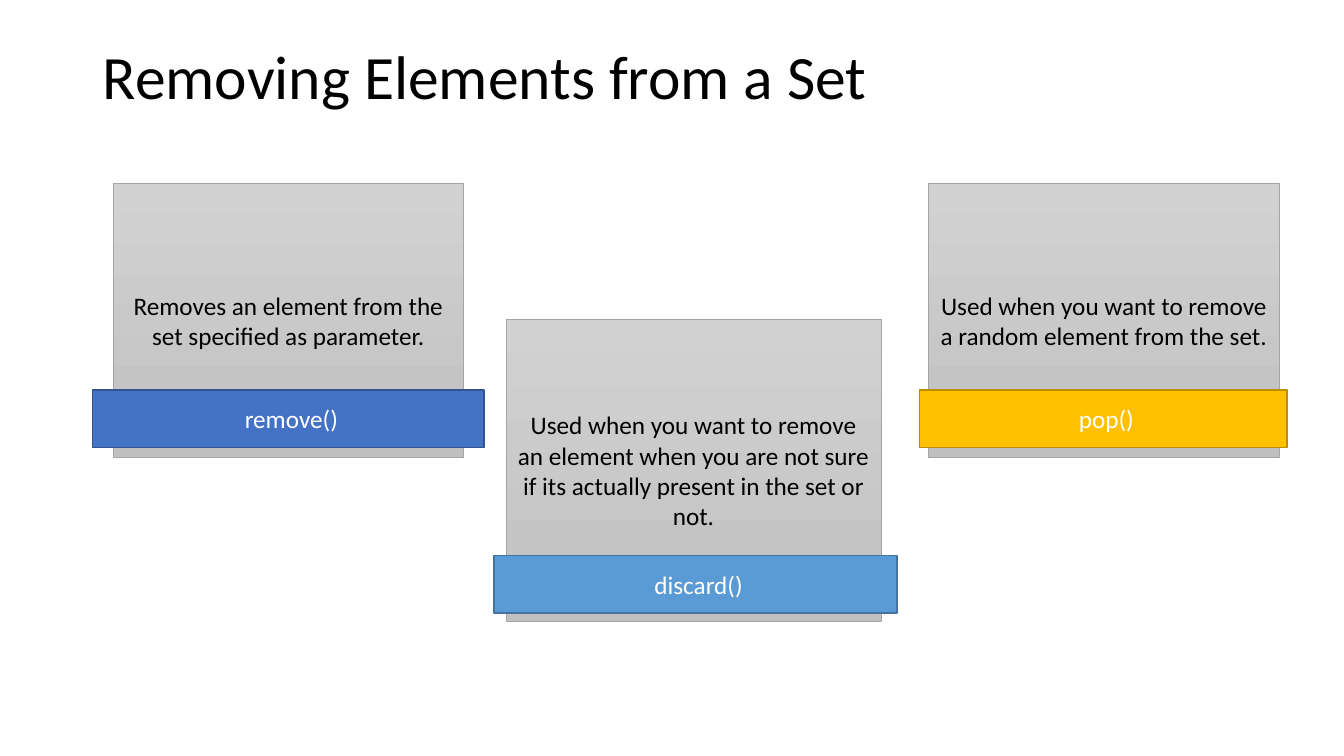
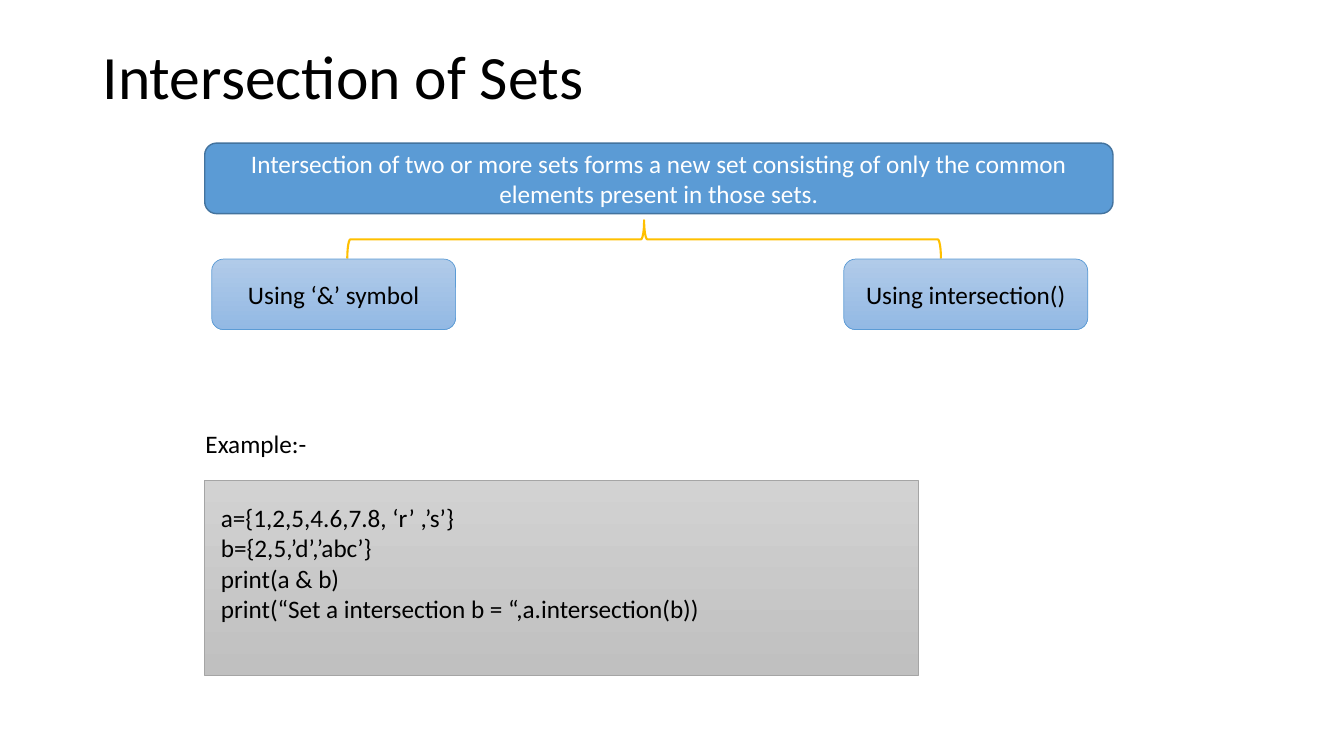
from dataclasses import dataclass
from typing import NamedTuple, Optional

from pptx import Presentation
from pptx.dml.color import RGBColor
from pptx.enum.shapes import MSO_SHAPE as Preset
from pptx.enum.text import MSO_ANCHOR as Anchor, PP_ALIGN as Align
from pptx.util import Inches, Pt

SLIDE_WIDTH, SLIDE_HEIGHT = Inches(13.333), Inches(7.5)


class Box(NamedTuple):
    """A rectangle in percent of the slide's width and height."""
    left: float
    top: float
    width: float
    height: float

    def lengths(self) -> tuple:
        return tuple(round(share * side / 100) for share, side in
                     zip(self, (SLIDE_WIDTH, SLIDE_HEIGHT) * 2))


@dataclass(frozen=True)
class Style:
    fills: tuple  # one colour is solid, two run from top to bottom
    line: str
    text: str = "000000"
    line_width: float = 0.5


@dataclass(frozen=True)
class Theme:
    font: str = "Calibri"
    title_size: int = 44
    body_size: int = 18
    ink: str = "000000"
    brace: str = "FFC000"
    gray: Style = Style(("D2D2D2", "C0C0C0"), "A5A5A5")
    pale_blue: Style = Style(("B1CBE9", "93B9E4"), "5B9BD5")
    navy: Style = Style(("4472C4",), "325491", "FFFFFF", 1)
    blue: Style = Style(("5B9BD5",), "43739E", "FFFFFF", 1)
    gold: Style = Style(("FFC000",), "BD8E00", "FFFFFF", 1)


THEME = Theme()
TITLE_BOX = Box(6.9, 5.33, 86.25, 10.3)


@dataclass(frozen=True)
class Panel:
    box: Box
    text: str
    style: Style
    preset: Preset = Preset.RECTANGLE
    align: Align = Align.CENTER
    frame: Optional[dict] = None


@dataclass(frozen=True)
class Method:
    card: Box
    band: Box
    name: str
    purpose: str
    style: Style


def set_all(target, values: dict) -> None:
    for name, value in values.items():
        setattr(target, name, value)


# Text and shapes
def write(shape, text: str, color: str, size: int = THEME.body_size,
          paragraph_format: Optional[dict] = None,
          frame_format: Optional[dict] = None) -> None:
    frame = shape.text_frame
    set_all(frame, {"word_wrap": True, "vertical_anchor": Anchor.MIDDLE,
                    **(frame_format or {})})
    frame.text = text
    for paragraph in frame.paragraphs:
        set_all(paragraph, {"alignment": Align.LEFT, **(paragraph_format or {})})
        set_all(paragraph.font, {"name": THEME.font, "size": Pt(size)})
        paragraph.font.color.rgb = RGBColor.from_string(color)


def add_text(slide, box: Box, text: str, size: int, **formats) -> None:
    write(slide.shapes.add_textbox(*box.lengths()), text, THEME.ink, size, **formats)


def add_panel(slide, panel: Panel) -> None:
    style = panel.style
    shape = slide.shapes.add_shape(panel.preset, *panel.box.lengths())
    shape.shadow.inherit = False
    if len(style.fills) == 1:
        shape.fill.solid()
        shape.fill.fore_color.rgb = RGBColor.from_string(style.fills[0])
    else:
        shape.fill.gradient()
        shape.fill.gradient_angle = 270
        for stop, color in zip(shape.fill.gradient_stops, style.fills):
            stop.color.rgb = RGBColor.from_string(color)
    shape.line.color.rgb = RGBColor.from_string(style.line)
    shape.line.width = Pt(style.line_width)
    write(shape, panel.text, style.text,
          paragraph_format={"alignment": panel.align}, frame_format=panel.frame)


def add_top_brace(slide, box: Box) -> None:
    """A left brace turned so that its point faces up and fills the box."""
    left, top, width, height = box.lengths()
    shift = (width - height) // 2
    brace = slide.shapes.add_shape(Preset.LEFT_BRACE, left + shift, top - shift,
                                   height, width)
    brace.rotation = 90
    brace.shadow.inherit = False
    brace.fill.background()
    brace.line.color.rgb = RGBColor.from_string(THEME.brace)
    brace.line.width = Pt(1.5)


def add_titled_slide(presentation, title: str):
    slide = presentation.slides.add_slide(presentation.slide_layouts[6])
    add_text(slide, TITLE_BOX, title, THEME.title_size,
             paragraph_format={"line_spacing": 0.9})
    return slide


# Slide 1: three ways to remove an element
METHODS = (
    Method(Box(8.4, 24.27, 26.1, 36.27), Box(6.9, 51.6, 29.1, 7.6), "remove()",
           "Removes an element from the set specified as parameter.", THEME.navy),
    Method(Box(37.65, 42.27, 27.9, 39.87), Box(36.75, 73.47, 30, 7.6), "discard()",
           "Used when you want to remove an element when you are not sure "
           "if its actually present in the set or not.", THEME.blue),
    Method(Box(69.08, 24.27, 26.1, 36.27), Box(68.4, 51.6, 27.38, 7.6), "pop()",
           "Used when you want to remove a random element from the set.", THEME.gold),
)


def build_removing(presentation) -> None:
    slide = add_titled_slide(presentation, "Removing Elements from a Set")
    for method in METHODS:
        add_panel(slide, Panel(method.card, method.purpose, THEME.gray))
        add_panel(slide, Panel(method.band, method.name, method.style,
                               frame={"margin_left": Inches(0.16)}))


# Slide 2: definition, two options, example code
DEFINITION = ("Intersection of two or more sets forms a new set consisting of "
              "only the common elements present in those sets.")
OPTIONS = ((15.75, "Using ‘&’ symbol"), (62.78, "Using intersection()"))
CODE = "\n".join((
    "a={1,2,5,4.6,7.8, ‘r’ ,’s’}",
    "b={2,5,’d’,’abc’}",
    "print(a & b)",
    "print(“Set a intersection b = “,a.intersection(b))",
))


def build_intersection(presentation) -> None:
    slide = add_titled_slide(presentation, "Intersection of Sets")
    rounded = Preset.ROUNDED_RECTANGLE
    add_panel(slide, Panel(Box(15.23, 18.93, 67.58, 9.33), DEFINITION,
                           THEME.blue, rounded))
    add_top_brace(slide, Box(25.84, 29.13, 44.17, 5.07))
    for left, label in OPTIONS:
        add_panel(slide, Panel(Box(left, 34.27, 18.15, 9.33), label,
                               THEME.pale_blue, rounded))
    add_text(slide, Box(14.55, 56, 9.08, 5.33), "Example:-", THEME.body_size,
             frame_format={"word_wrap": False, "vertical_anchor": Anchor.TOP})
    add_panel(slide, Panel(Box(15.23, 63.6, 53.1, 25.73), CODE, THEME.gray,
                           align=Align.LEFT,
                           frame={"margin_left": Inches(0.16),
                                  "margin_bottom": Inches(0.35)}))


def main() -> None:
    presentation = Presentation()
    set_all(presentation, {"slide_width": SLIDE_WIDTH, "slide_height": SLIDE_HEIGHT})
    build_removing(presentation)
    build_intersection(presentation)
    presentation.save("out.pptx")


if __name__ == "__main__":
    main()
